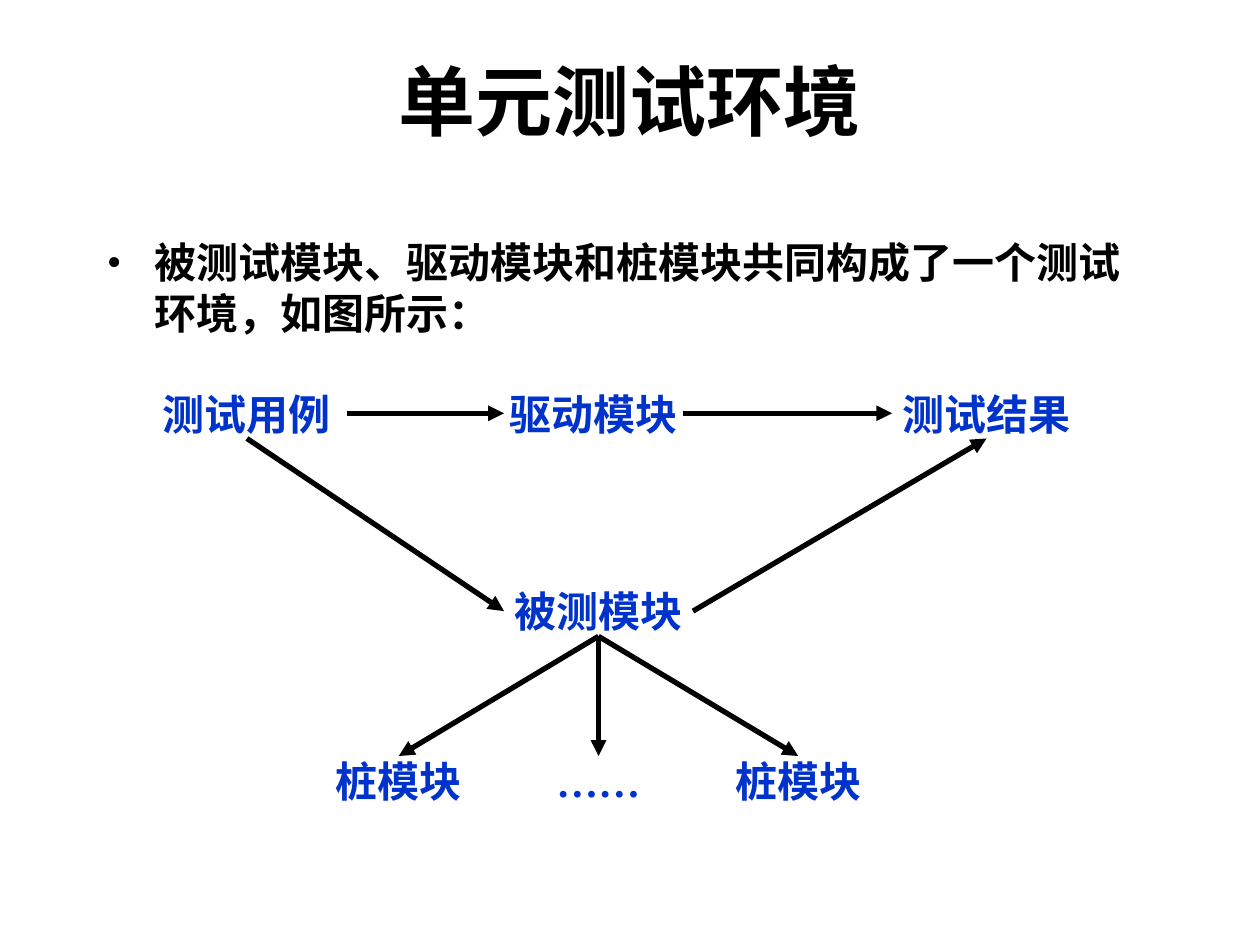
from dataclasses import dataclass
from lxml.etree import SubElement
from pptx import Presentation
from pptx.dml.color import RGBColor
from pptx.enum.shapes import MSO_CONNECTOR
from pptx.enum.text import MSO_ANCHOR, PP_ALIGN
from pptx.oxml.ns import qn
from pptx.util import Inches, Pt


@dataclass(frozen=True)
class Theme:
    font: str = "Times New Roman"
    ink: RGBColor = RGBColor(0x00, 0x00, 0x00)
    blue: RGBColor = RGBColor(0x00, 0x33, 0xCC)
    head: Pt = Pt(44)
    body: Pt = Pt(24)
    line: Pt = Pt(3)


theme = Theme()


def write(shape, text, size, color, align=PP_ALIGN.CENTER, bullet=None):
    frame = shape.text_frame
    frame.word_wrap = True
    frame.text = text
    para = frame.paragraphs[0]
    para.alignment = align
    if bullet:
        props = para._p.get_or_add_pPr()
        props.set("marL", str(Inches(0.38)))
        props.set("indent", str(-Inches(0.38)))
        SubElement(props, qn("a:buFont"), typeface=theme.font)
        SubElement(props, qn("a:buChar"), char=bullet)
    font = para.font
    font.name, font.size, font.bold = theme.font, size, True
    font.color.rgb = color
    return frame


deck = Presentation()
deck.slide_width, deck.slide_height = Inches(10), Inches(7.5)
slide = deck.slides.add_slide(deck.slide_layouts[5])
shapes = slide.shapes

# Title
title = shapes.title
title.left, title.top = Inches(0.75), Inches(0.17)
title.width, title.height = Inches(8.5), Inches(1.25)
frame = write(title, "单元测试环境", theme.head, theme.ink)
frame.vertical_anchor = MSO_ANCHOR.MIDDLE

# Bulleted introduction
intro = shapes.add_textbox(Inches(0.75), Inches(1.83), Inches(8.5), Inches(0.92))
write(intro, "被测试模块、驱动模块和桩模块共同构成了一个测试环境，如图所示：",
      theme.body, theme.ink, PP_ALIGN.LEFT, "•")

# Module labels in three rows: text, left, top, width
high = 0.4
top, mid, low = 3.08, 4.65, 6
labels = [
    ("测试用例", 1.17, top, 1.58),
    ("驱动模块", 4, top, 1.42),
    ("测试结果", 7.08, top, 1.5),
    ("被测模块", 4, mid, 1.5),
    ("桩模块", 2.58, low, 1.17),
    ("……", 3.75, low, 2),
    ("桩模块", 5.75, low, 1.17),
]
boxes = []
for text, x, y, wide in labels:
    box = shapes.add_textbox(Inches(x), Inches(y), Inches(wide), Inches(high))
    frame = write(box, text, theme.body, theme.blue)
    frame.margin_left = frame.margin_right = 0
    frame.margin_top = frame.margin_bottom = 0
    boxes.append(box)
case, driver, result, unit, *stubs = boxes


# Points on the edges of a label
def edge(box, side):
    across, down = {"left": (0, 0.5), "right": (1, 0.5),
                    "top": (0.5, 0), "bottom": (0.5, 1)}[side]
    return int(box.left + across * box.width), int(box.top + down * box.height)


# Arrows between the labels
links = [
    (case, "right", driver, "left"),
    (driver, "right", result, "left"),
    (case, "bottom", unit, "left"),
    (unit, "right", result, "bottom"),
]
links += [(unit, "bottom", stub, "top") for stub in stubs]
for start, out, end, into in links:
    arrow = shapes.add_connector(MSO_CONNECTOR.STRAIGHT,
                                 *edge(start, out), *edge(end, into))
    arrow.line.color.rgb = theme.ink
    arrow.line.width = theme.line
    SubElement(arrow.line._get_or_add_ln(), qn("a:tailEnd"), type="triangle")
    SubElement(arrow._element.spPr, qn("a:effectLst"))

deck.save("out.pptx")
